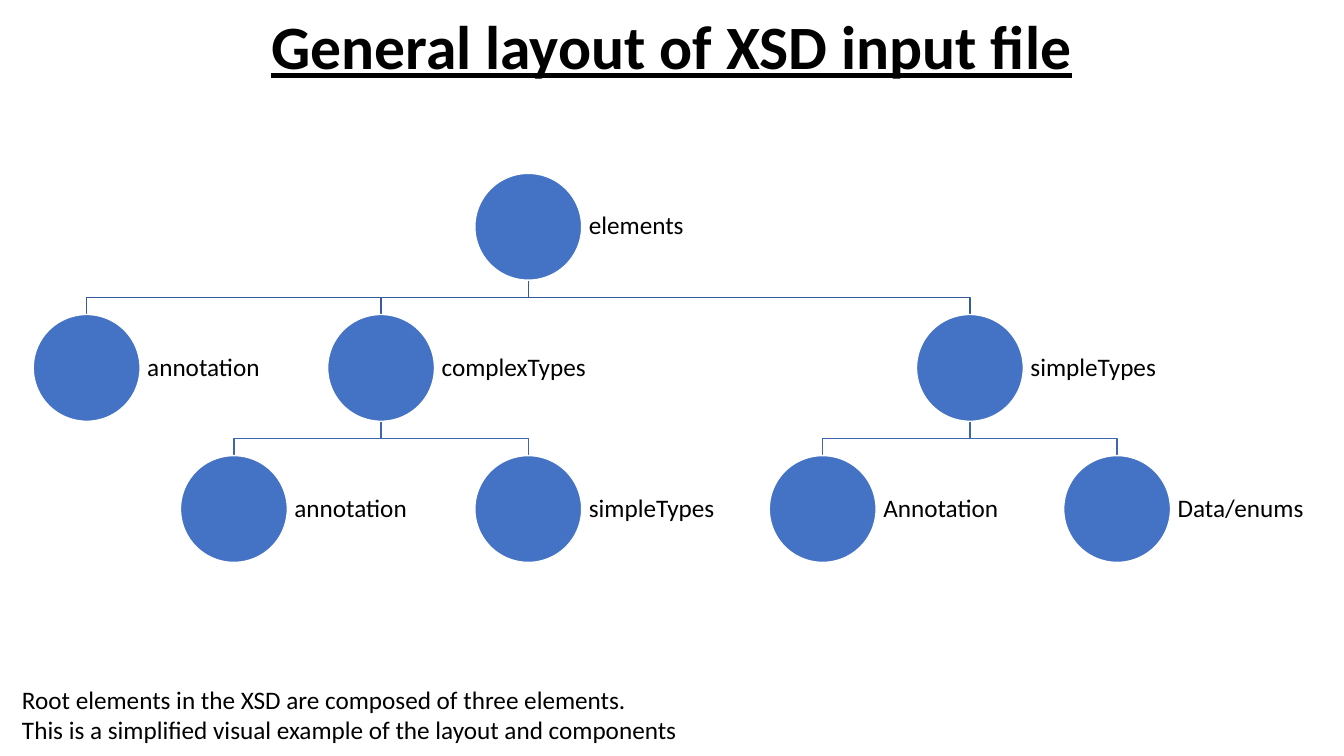
import pptx
import pptx.util
import pptx.dml.color
import pptx.enum.shapes
import pptx.enum.text
from pptx.util import Inches

COLORS = {"text": "000000", "node": "4472C4", "outline": "FFFFFF",
          "upper_link": "365B9D", "lower_link": "3E67B2"}
LINK_COLORS = ["upper_link", "lower_link"]
ANCHOR = pptx.enum.text.MSO_ANCHOR
ALIGN = pptx.enum.text.PP_ALIGN

# Tree measures: half columns and rows
DIAMETER, COLUMN_STEP, ROW_STEP = 1.06, 1.46, 1.4
LABEL_WIDTH = 1.59

# Each node: label, column, children
TREE = ("elements", 3, [
    ("annotation", 0, []),
    ("complexTypes", 2, [("annotation", 1, []), ("simpleTypes", 3, [])]),
    ("simpleTypes", 6, [("Annotation", 5, []), ("Data/enums", 7, [])]),
])


def color(name):
    return pptx.dml.color.RGBColor.from_string(COLORS[name])


def write(shape, text, size=18, bold=None, underline=None, align=ALIGN.LEFT,
          anchor=ANCHOR.TOP, spacing=None, inset=(0.1, 0.05)):
    frame = shape.text_frame
    frame.word_wrap = True
    frame.auto_size = pptx.enum.text.MSO_AUTO_SIZE.NONE
    frame.vertical_anchor = anchor
    frame.margin_left = frame.margin_right = Inches(inset[0])
    frame.margin_top = frame.margin_bottom = Inches(inset[1])
    frame.text = text
    for paragraph in frame.paragraphs:
        paragraph.alignment = align
        paragraph.line_spacing = spacing
        for run in paragraph.runs:
            font = run.font
            font.name, font.size = "Calibri", pptx.util.Pt(size)
            font.bold, font.underline = bold, underline
            font.color.rgb = color("text")


def add_title(slide, left, top, width, height):
    title = slide.shapes.title
    title.left, title.top = Inches(left), Inches(top)
    title.width, title.height = Inches(width), Inches(height)
    write(title, "General layout of XSD input file", size=44, bold=True,
          underline=True, align=ALIGN.CENTER, anchor=ANCHOR.MIDDLE, spacing=0.9)


def add_link(slide, start, end, color_name):
    """Draw an elbow line from a parent's bottom to a child's top."""
    (start_x, start_y), (end_x, end_y) = start, end
    middle = (start_y + end_y) / 2
    builder = slide.shapes.build_freeform(Inches(start_x), Inches(start_y))
    corners = [(start_x, middle), (end_x, middle), (end_x, end_y)]
    builder.add_line_segments([(Inches(x), Inches(y)) for x, y in corners],
                              close=False)
    link = builder.convert_to_shape()
    link.shadow.inherit = False
    link.fill.background()
    link.line.color.rgb = color(color_name)
    link.line.width = pptx.util.Pt(1)


def add_node(slide, label, left, top):
    circle = slide.shapes.add_shape(
        pptx.enum.shapes.MSO_SHAPE.OVAL, Inches(left), Inches(top),
        Inches(DIAMETER), Inches(DIAMETER))
    circle.shadow.inherit = False
    circle.fill.solid()
    circle.fill.fore_color.rgb = color("node")
    circle.line.color.rgb = color("outline")
    circle.line.width = pptx.util.Pt(1)
    box = slide.shapes.add_textbox(Inches(left + DIAMETER), Inches(top),
                                   Inches(LABEL_WIDTH), Inches(DIAMETER))
    write(box, label, anchor=ANCHOR.MIDDLE, spacing=0.9, inset=(0.07, 0.07))


def add_tree(slide, node, left, top, level=0):
    """Draw a node and its descendants; left is the edge of column 0."""
    label, column, children = node
    center = left + column * COLUMN_STEP + DIAMETER / 2
    for child in children:
        child_center = left + child[1] * COLUMN_STEP + DIAMETER / 2
        add_link(slide, (center, top + DIAMETER),
                 (child_center, top + ROW_STEP), LINK_COLORS[level])
    add_node(slide, label, center - DIAMETER / 2, top)
    for child in children:
        add_tree(slide, child, left, top + ROW_STEP, level + 1)


def add_caption(slide, left, top, width, height):
    box = slide.shapes.add_textbox(Inches(left), Inches(top),
                                   Inches(width), Inches(height))
    write(box, "Root elements in the XSD are composed of three elements.\n"
               "This is a simplified visual example of the layout and components")


presentation = pptx.Presentation()
presentation.slide_width = Inches(13.33)
presentation.slide_height = Inches(7.5)
slide = presentation.slides.add_slide(presentation.slide_layouts[5])
add_title(slide, 0, 0.06, 13.33, 0.86)
add_tree(slide, TREE, 0.33, 1.72)
add_caption(slide, 0.12, 6.74, 7.14, 0.71)
presentation.save("out.pptx")
